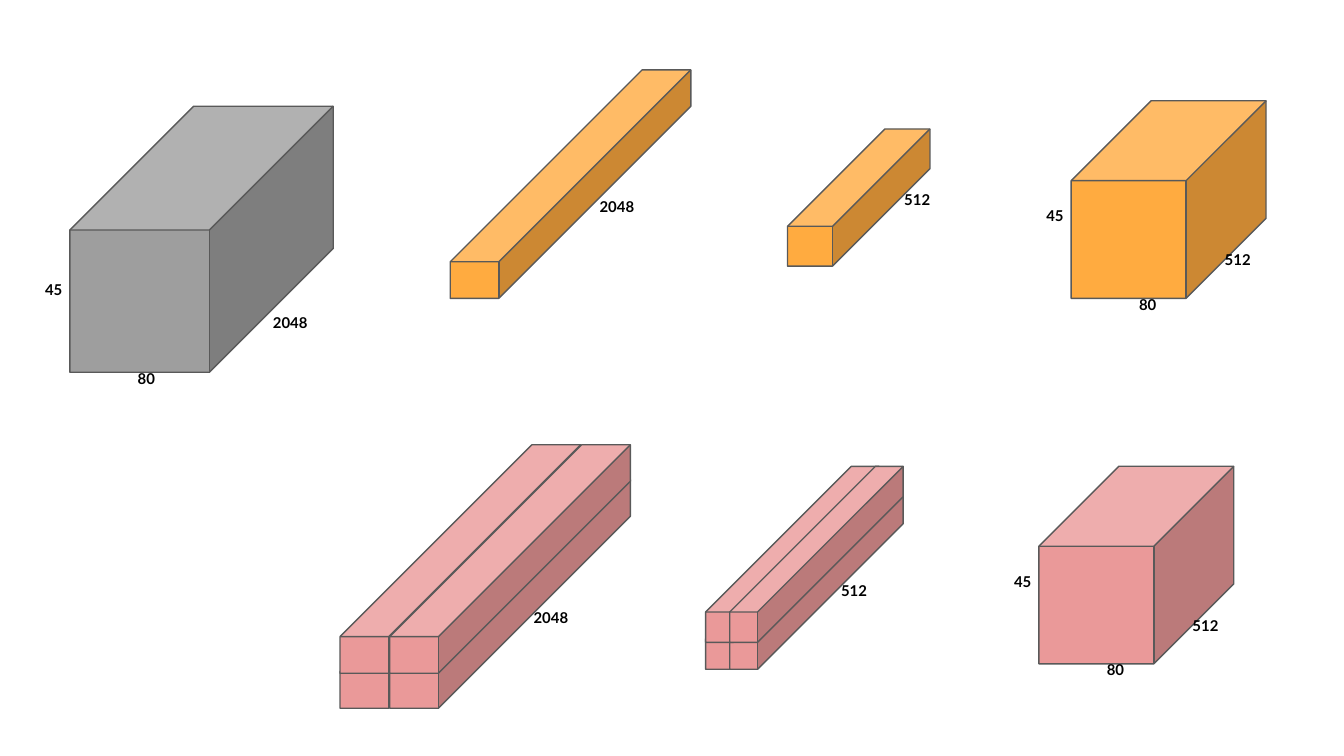
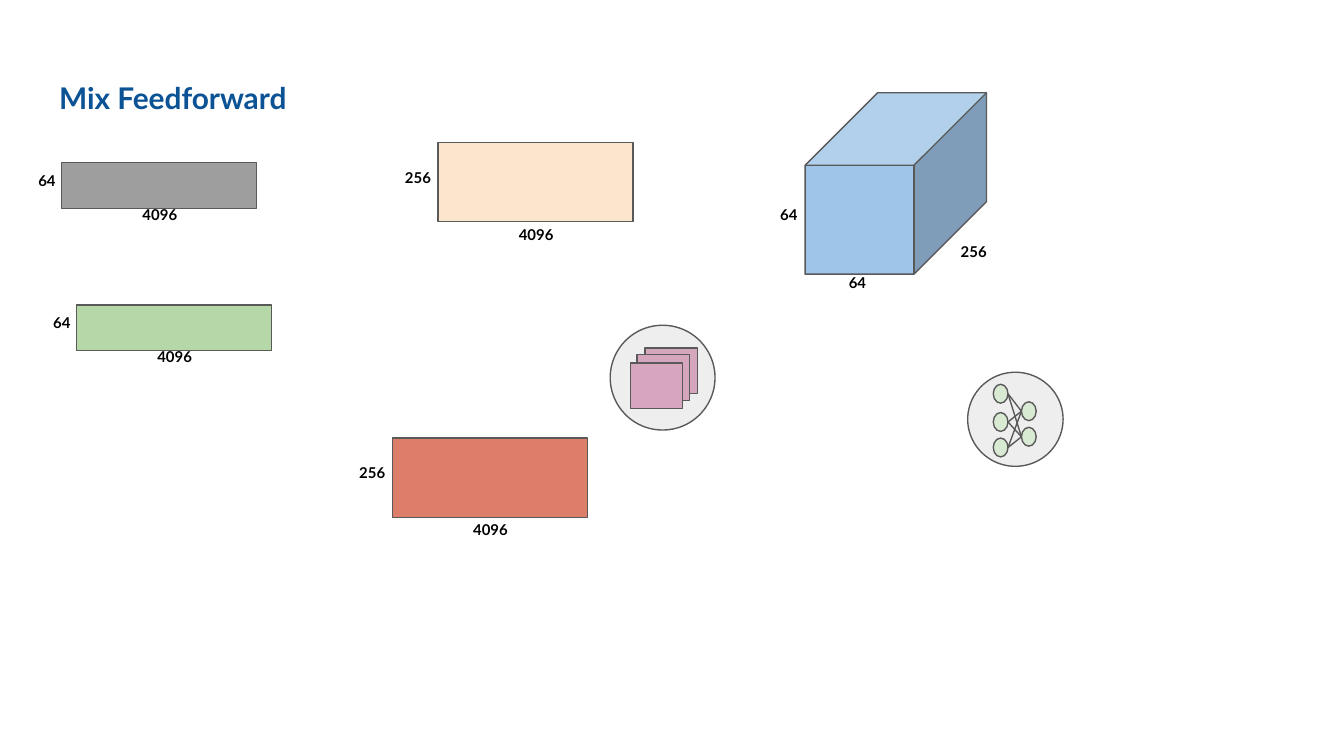
from itertools import product

from lxml import etree
from pptx import Presentation
from pptx import util as u
from pptx.dml.color import RGBColor
from pptx.enum import shapes, text
from pptx.oxml import ns

FONT = "Lato"
COLORS = {
    "outline": "595959",
    "label": "000000",
    "title": "0B5394",
    "grey": "9E9E9E",
    "orange": "FFAB40",
    "pink": "EA9999",
    "blue": "9FC5E8",
    "cream": "FCE5CD",
    "red": "DD7E6B",
    "green": "B6D7A8",
    "disc": "EEEEEE",
    "mauve": "D5A6BD",
    "node": "D9EAD3",
}
PAGE_WIDTH = 10
PAGE_HEIGHT = PAGE_WIDTH * 9 / 16
LABEL_HEIGHT = 0.34
BAR_WIDTH = 1.45
KINDS = shapes.MSO_SHAPE


def color(name):
    return RGBColor.from_string(COLORS[name])


def inches(*lengths):
    return [u.Inches(length) for length in lengths]


def set_font(para, size, name):
    para.font.name = FONT
    para.font.size = u.Pt(size)
    para.font.bold = True
    para.font.color.rgb = color(name)


def set_margins(frame):
    frame.margin_left = frame.margin_right = u.Inches(0.1)
    frame.margin_top = frame.margin_bottom = u.Inches(0.1)


def set_outline(line):
    line.color.rgb = color("outline")
    line.width = u.Pt(0.75)


def add_figure(group, kind, left, top, width, height, fill):
    figure = group.shapes.add_shape(kind, *inches(left, top, width, height))
    figure.shadow.inherit = False
    figure.fill.solid()
    figure.fill.fore_color.rgb = color(fill)
    set_outline(figure.line)
    return figure


def add_label(group, words, left, top, width):
    box = group.shapes.add_textbox(*inches(left, top, width, LABEL_HEIGHT))
    frame = box.text_frame
    frame.word_wrap = True
    frame.auto_size = text.MSO_AUTO_SIZE.SHAPE_TO_FIT_TEXT
    set_margins(frame)
    para = frame.paragraphs[0]
    para.text = words
    para.alignment = text.PP_ALIGN.CENTER
    set_font(para, 8, "label")


def add_link(group, start, end):
    link = group.shapes.add_connector(
        shapes.MSO_CONNECTOR.STRAIGHT, *inches(*start, *end))
    set_outline(link.line)
    etree.SubElement(link._element.spPr, ns.qn("a:effectLst"))


def add_cuboid(page, left, top, size, depth, fill, labels, shifts=((0, 0),)):
    group = page.shapes.add_group_shape()
    for across, down in shifts:
        cube = add_figure(group, KINDS.CUBE, left + across, top + down, *size, fill)
        cube.adjustments[0] = depth
    for words, across, down, width in labels:
        add_label(group, words, left + across, top + down, width)


def bundle(across, down):
    return [(x, y) for y, x in product((down, 0), (0, across))]


def add_bar(page, left, top, fill, side, height, side_width, overlap, drop):
    group = page.shapes.add_group_shape()
    add_figure(group, KINDS.RECTANGLE, left, top, BAR_WIDTH, height, fill)
    add_label(group, "4096", left + 0.36, top + drop, 0.74)
    add_label(group, side, left + overlap - side_width,
              top + (height - LABEL_HEIGHT) / 2, side_width)


def add_convolution_icon(page):
    group = page.shapes.add_group_shape()
    add_figure(group, KINDS.OVAL, 4.54, 2.42, 0.78, 0.78, "disc")
    for left, top in ((4.8, 2.59), (4.74, 2.64), (4.69, 2.7)):
        add_figure(group, KINDS.RECTANGLE, left, top, 0.39, 0.34, "mauve")


def add_network_icon(page):
    group = page.shapes.add_group_shape()
    add_figure(group, KINDS.OVAL, 7.2, 2.77, 0.71, 0.7, "disc")
    width, height = 0.11, 0.14
    input_left, output_left = 7.39, 7.6
    inputs, outputs = (2.86, 3.07, 3.26), (2.99, 3.18)
    for left, tops in ((input_left, inputs), (output_left, outputs)):
        for top in tops:
            add_figure(group, KINDS.OVAL, left, top, width, height, "node")
    for start, end in product(inputs, outputs):
        add_link(group, (input_left + width, start + height / 2),
                 (output_left, end + height / 2))


def add_title(page, words):
    title = page.shapes.title
    title.left, title.top, title.width, title.height = inches(0.34, 0.49, 4.15, 0.49)
    frame = title.text_frame
    frame.auto_size = text.MSO_AUTO_SIZE.NONE
    frame.vertical_anchor = text.MSO_ANCHOR.TOP
    set_margins(frame)
    para = frame.paragraphs[0]
    para.text = words
    para.alignment = text.PP_ALIGN.LEFT
    set_font(para, 16, "title")


def build_tensors(page):
    block, beam = (1.45, 1.47), (1.79, 1.7)
    block_labels = [("45", -0.4, 0.72, 0.56), ("80", 0.29, 1.38, 0.56),
                    ("512", 0.96, 1.05, 0.56)]
    input_labels = [("45", -0.4, 1.23, 0.56), ("80", 0.29, 1.89, 0.56),
                    ("2048", 1.27, 1.48, 0.74)]
    add_cuboid(page, 5.86, 0.96, (1.06, 1.02), 0.71, "orange",
               [("512", 0.74, 0.39, 0.45)])
    add_cuboid(page, 7.97, 0.75, block, 0.41, "orange", block_labels)
    add_cuboid(page, 7.73, 3.47, block, 0.41, "pink", block_labels)
    add_cuboid(page, 3.35, 0.52, beam, 0.84, "orange",
               [("2048", 0.95, 0.88, 0.58)])
    add_cuboid(page, 2.53, 3.31, beam, 0.84, "pink",
               [("2048", 1.29, 1.15, 0.56)], bundle(0.37, 0.26))
    add_cuboid(page, 5.25, 3.47, (1.29, 1.31), 0.84, "pink",
               [("512", 0.88, 0.79, 0.45)], bundle(0.18, 0.2))
    add_cuboid(page, 0.52, 0.79, (1.96, 1.98), 0.47, "grey", input_labels)


def build_feedforward(page):
    thin = dict(side="64", height=0.34, side_width=0.38, overlap=0.08, drop=0.25)
    thick = dict(side="256", height=0.59, side_width=0.54, overlap=0.12, drop=0.55)
    add_title(page, "Mix Feedforward")
    add_cuboid(page, 5.99, 0.69, (1.35, 1.35), 0.4, "blue",
               [("64", -0.31, 0.77, 0.38), ("64", 0.2, 1.28, 0.38),
                ("256", 1, 1.05, 0.51)])
    add_bar(page, 0.46, 1.21, "grey", **thin)
    add_bar(page, 3.26, 1.06, "cream", **thick)
    add_convolution_icon(page)
    add_bar(page, 2.92, 3.26, "red", **thick)
    add_bar(page, 0.57, 2.27, "green", **thin)
    add_network_icon(page)


def main():
    deck = Presentation()
    deck.slide_width, deck.slide_height = inches(PAGE_WIDTH, PAGE_HEIGHT)
    title_only, blank = deck.slide_layouts[5], deck.slide_layouts[6]
    build_tensors(deck.slides.add_slide(blank))
    build_feedforward(deck.slides.add_slide(title_only))
    deck.save("out.pptx")


if __name__ == "__main__":
    main()
